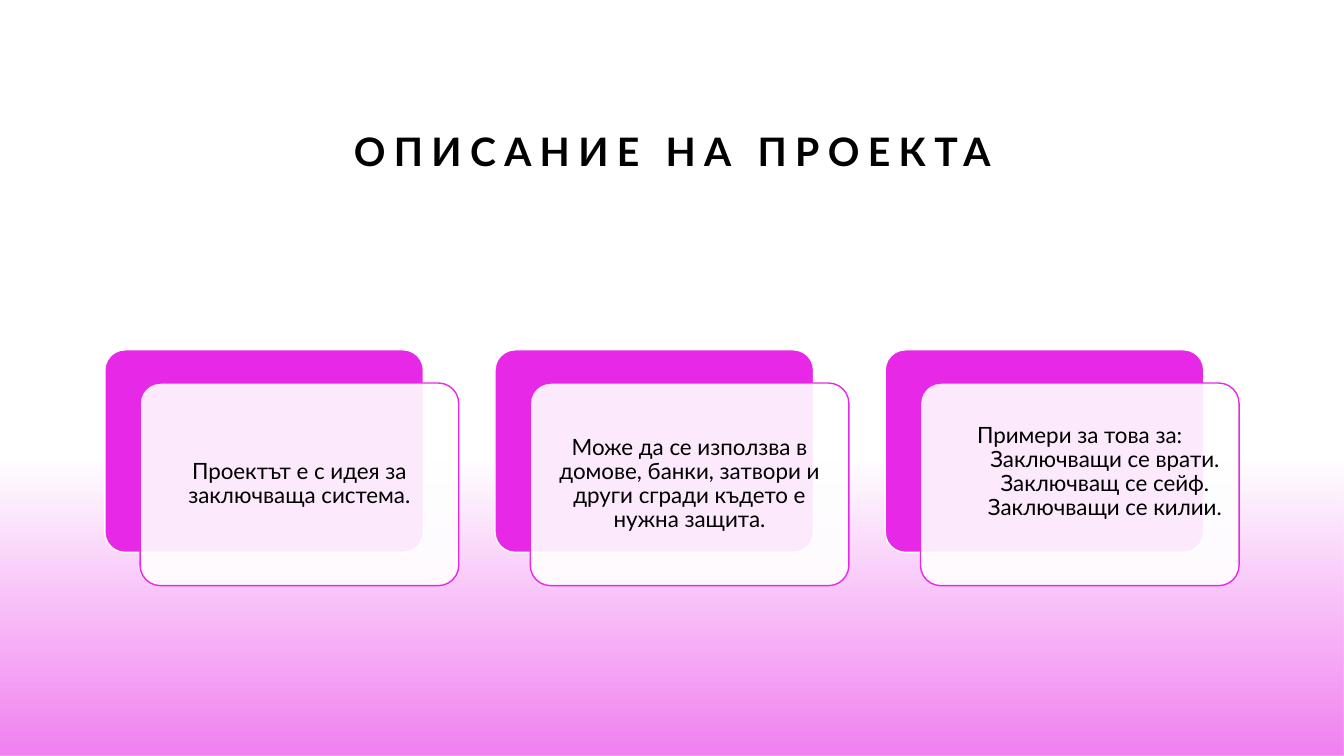
from pptx import Presentation
from pptx import util as u
from pptx.dml.color import RGBColor
from pptx.enum import shapes, text
from pptx.oxml import ns, xmlchemy

CARDS = [
    "Проектът е с идея за заключваща система.",
    "Може да се използва в домове, банки, затвори и други сгради където е нужна защита.",
    "Примери за това за:\v\tЗаключващи се врати.\v\tЗаключващ се сейф.\v\tЗаключващи се килии.",
]
CARD_LEFT, CARD_TOP, CARD_STEP = 1.04, 3.47, 3.87
CARD_SIZE = 3.16, 2.01
FRONT_DX, FRONT_DY = 0.35, 0.33


def rgb(colour):
    return RGBColor.from_string(colour)


def set_alpha(colour_parent, percent):
    """Make the RGB colour inside the given XML element translucent."""
    colour = colour_parent.find(ns.qn("a:srgbClr"))
    alpha = xmlchemy.OxmlElement("a:alpha")
    alpha.set("val", str(percent * 1000))
    colour.append(alpha)


class Deck:
    FONT = "Lato"
    INK, PAPER, ACCENT, GLOW = "000000", "FFFFFF", "E729E7", "F17FF1"

    def __init__(self):
        self.prs = Presentation()
        self.prs.slide_width = u.Inches(13.33)
        self.prs.slide_height = u.Inches(7.5)
        self.slide = self.prs.slides.add_slide(self.prs.slide_layouts[5])
        background = self.slide.background.fill
        background.solid()
        background.fore_color.rgb = rgb(self.PAPER)

    def box(self, kind, left, top, width, height):
        shape = self.slide.shapes.add_shape(
            kind, *map(u.Inches, (left, top, width, height)))
        shape.shadow.inherit = False
        return shape

    def set_wording(self, frame, wording, size, spacing, anchor, bold=False):
        frame.word_wrap = True
        frame.auto_size = text.MSO_AUTO_SIZE.NONE
        frame.vertical_anchor = anchor
        paragraph = frame.paragraphs[0]
        paragraph.text = wording
        paragraph.alignment = text.PP_ALIGN.CENTER
        paragraph.line_spacing = spacing
        for run in paragraph.runs:
            run.font.name = self.FONT
            run.font.size = u.Pt(size)
            run.font.bold = bold
            run.font.color.rgb = rgb(self.INK)
        return paragraph

    def title(self, wording, left, top, width, height):
        heading = self.slide.shapes.title
        heading.left, heading.top = u.Inches(left), u.Inches(top)
        heading.width, heading.height = u.Inches(width), u.Inches(height)
        paragraph = self.set_wording(heading.text_frame, wording, 28, 1.2,
                                     text.MSO_ANCHOR.BOTTOM, bold=True)
        for properties in paragraph._p.iter(ns.qn("a:rPr")):
            properties.set("spc", "600")

    def glow(self, left, top, width, height):
        """Add a band that fades in from clear to pink, downwards."""
        band = self.box(shapes.MSO_SHAPE.RECTANGLE, left, top, width, height)
        band.line.fill.background()
        band.fill.gradient()
        band.fill.gradient_angle = 270
        for stop, position in zip(band.fill.gradient_stops, (0.14, 1)):
            stop.position = position
            stop.color.rgb = rgb(self.GLOW)
        set_alpha(next(band._element.iter(ns.qn("a:gs"))), 0)

    def panel(self, left, top, fill, line):
        panel = self.box(shapes.MSO_SHAPE.ROUNDED_RECTANGLE, left, top, *CARD_SIZE)
        panel.adjustments[0] = 0.1
        panel.fill.solid()
        panel.fill.fore_color.rgb = rgb(fill)
        panel.line.color.rgb = rgb(line)
        panel.line.width = u.Pt(1)
        return panel

    def card(self, wording, left, top, bottom_inset):
        self.panel(left, top, self.ACCENT, self.PAPER)
        front = self.panel(left + FRONT_DX, top + FRONT_DY, self.PAPER, self.ACCENT)
        set_alpha(front._element.spPr.find(ns.qn("a:solidFill")), 90)
        frame = front.text_frame
        frame.margin_left = frame.margin_right = frame.margin_top = u.Inches(0.07)
        frame.margin_bottom = u.Inches(bottom_inset)
        self.set_wording(frame, wording, 16, 0.9, text.MSO_ANCHOR.MIDDLE)


def main():
    deck = Deck()
    deck.glow(0, 4.09, 13.33, 3.41)
    deck.title("ОПИСАНИЕ НА ПРОЕКТА", 1.67, 0.83, 10, 0.95)
    for column, wording in enumerate(CARDS):
        bottom_inset = 0.31 if "\v" in wording else 0.07
        deck.card(wording, CARD_LEFT + column * CARD_STEP, CARD_TOP, bottom_inset)
    deck.prs.save("out.pptx")


if __name__ == "__main__":
    main()
